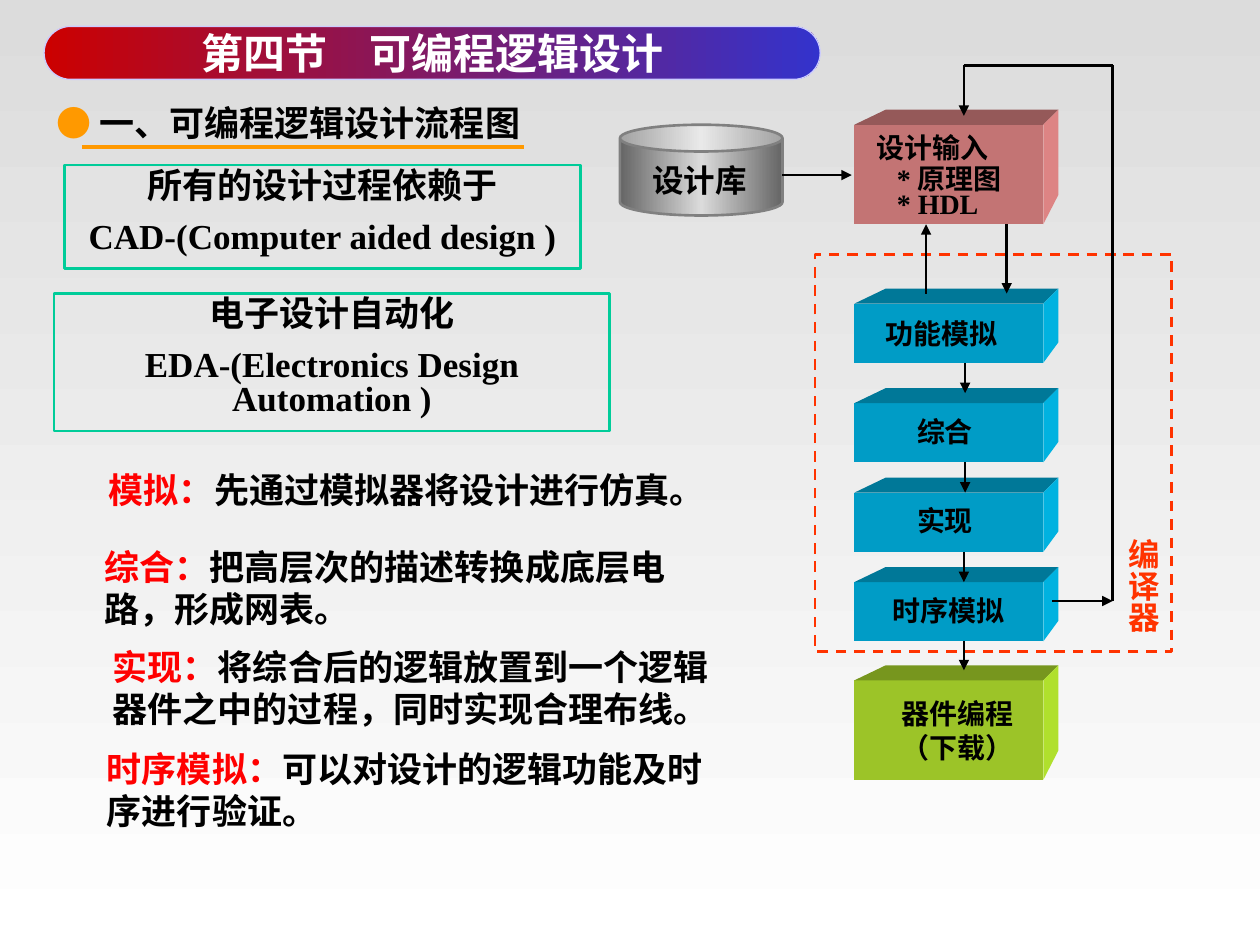
from copy import deepcopy
from dataclasses import dataclass

from pptx import Presentation
from pptx.dml.color import RGBColor
from pptx.enum.dml import MSO_LINE_DASH_STYLE as Dash
from pptx.enum.shapes import MSO_CONNECTOR as Conn, MSO_SHAPE as Shape
from pptx.enum.text import MSO_ANCHOR as Anchor, PP_ALIGN as Align
from pptx.oxml.ns import qn
from pptx.util import Emu, Inches, Pt


@dataclass(frozen=True)
class Theme:
    font: str = "Times New Roman"
    ink: str = "000000"
    white: str = "FFFFFF"
    term: str = "FF0000"
    orange: str = "FF9900"
    compiler: str = "FF3300"
    frame: str = "00CC99"
    title_line: str = "CCCCFF"
    can_line: str = "808080"
    page: tuple = ("DCDCDC", "FFFFFF")
    banner: tuple = ("CC0000", "3333CC")
    metal: tuple = ("656565", "DBDBDB", "656565")
    # Block colours: front, top, side
    pink: tuple = ("C37474", "955959", "DD8484")
    blue: tuple = ("009CC6", "007898", "00B2E0")
    green: tuple = ("9CC428", "77961E", "B0E02D")
    title: int = 24
    body: int = 20
    label: int = 18
    step: int = 16


@dataclass(frozen=True)
class Area:
    """Place and size in grid cells."""
    col: float
    row: float
    cols: float
    rows: float

    def emu(self) -> list:
        return [cell(v) for v in (self.col, self.row, self.cols, self.rows)]


@dataclass(frozen=True)
class Block:
    row: float
    rows: float
    colors: tuple


@dataclass(frozen=True)
class Label:
    text: str
    area: Area
    align: Align = Align.CENTER


@dataclass(frozen=True)
class Note:
    term: str
    text: str
    area: Area
    align: Align = Align.LEFT


T = Theme()
COLS = 100  # square grid cells across the slide
prs = Presentation()
prs.slide_width, prs.slide_height = Inches(10), Inches(7.5)
s = prs.slides.add_slide(prs.slide_layouts[6])


def cell(v: float) -> Emu:
    return Emu(round(v * prs.slide_width / COLS))


def rgb(color: str) -> RGBColor:
    return RGBColor.from_string(color)


def gradient(fill, colors: tuple, angle: int = 0) -> None:
    fill.gradient()
    fill.gradient_angle = angle
    if len(colors) == 3:
        first = fill.gradient_stops[0]._gs
        first.addnext(deepcopy(first))
    for i, (stop, color) in enumerate(zip(fill.gradient_stops, colors)):
        stop.color.rgb = rgb(color)
        stop.position = i / (len(colors) - 1)


def outline(sp, color: str, width: float = 1.5) -> None:
    sp.line.color.rgb = rgb(color)
    sp.line.width = Pt(width)


def add_shape(kind: Shape, area: Area):
    sp = s.shapes.add_shape(kind, *area.emu())
    sp.shadow.inherit = False
    sp.fill.background()
    return sp


def write(sp, paragraphs: list, size: int, align=Align.LEFT, spacing=None, **frame) -> None:
    """Each paragraph is a list of (text, colour, bold) runs."""
    tf = sp.text_frame
    for name, value in {"word_wrap": True, "vertical_anchor": Anchor.TOP, **frame}.items():
        setattr(tf, name, value)
    for i, runs in enumerate(paragraphs):
        p = tf.add_paragraph() if i else tf.paragraphs[0]
        p.alignment, p.line_spacing = align, spacing
        p.space_before = Pt(size / 2 if i else 0)
        for text, color, bold in runs:
            r = p.add_run()
            r.text = text
            r.font.color.rgb = rgb(color)
            for name, value in {"name": T.font, "size": Pt(size), "bold": bold}.items():
                setattr(r.font, name, value)


def add_text(area: Area, runs: list, size: int, align=Align.LEFT):
    sp = s.shapes.add_textbox(*area.emu())
    write(sp, [runs], size, align)
    return sp


def add_line(x1, y1, x2, y2, color=T.ink, width=1.5, arrow=True) -> None:
    line = s.shapes.add_connector(Conn.STRAIGHT, *map(cell, (x1, y1, x2, y2)))
    outline(line, color, width)
    pr = line._element.spPr
    if arrow:
        ln = line.line._get_or_add_ln()
        ln.append(ln.makeelement(qn("a:tailEnd"), {"type": "triangle"}))
    pr.append(pr.makeelement(qn("a:effectLst"), {}))


def add_face(points: list, color: str) -> None:
    corners = [tuple(map(cell, pt)) for pt in points]
    builder = s.shapes.build_freeform(*corners[0])
    builder.add_line_segments(corners[1:])
    sp = builder.convert_to_shape()
    sp.shadow.inherit = False
    sp.fill.solid()
    sp.fill.fore_color.rgb = rgb(color)
    sp.line.fill.background()


def add_block(block: Block) -> None:
    left, right, top, bottom = 67.8, 82.8, block.row, block.row + block.rows
    back_top, back_left, back_right = top - 1.2, left + 2.5, right + 1.2
    back_bottom = bottom - 0.6 - 0.22 * block.rows
    front, lid, side = block.colors
    add_face([(left, top), (right, top), (right, bottom), (left, bottom)], front)
    add_face([(left, top), (back_left, back_top), (back_right, back_top), (right, top)], lid)
    add_face([(right, top), (back_right, back_top), (back_right, back_bottom),
              (right, bottom)], side)


# Background and title
gradient(s.background.fill, T.page, 270)
banner = add_shape(Shape.ROUNDED_RECTANGLE, Area(3.5, 2.1, 61.6, 4.2))
banner.adjustments[0] = 0.5
gradient(banner.fill, T.banner)
outline(banner, T.title_line, 0.75)
write(banner, [[("第四节　可编程逻辑设计", T.white, True)]], T.title, Align.CENTER,
      word_wrap=False, vertical_anchor=Anchor.MIDDLE, margin_left=0, margin_right=0,
      margin_top=0, margin_bottom=0)

# Section heading
add_text(Area(3.5, 7.6, 52.8, 4.3),
         [("● ", T.orange, False), ("一、可编程逻辑设计流程图", T.ink, True)], T.body)
add_line(6.5, 11.7, 41.6, 11.7, T.orange, 2.25, arrow=False)

# Design library
can = add_shape(Shape.CAN, Area(49.2, 9.9, 12.9, 7.2))
can.adjustments[0] = 0.295
gradient(can.fill, T.metal)
outline(can, T.can_line)
add_text(Area(50.8, 12.3, 10.2, 4), [("设计库", T.ink, True)], T.label)

# Flow blocks and their labels
for block in [Block(9.9, 7.9, T.pink),
              *(Block(row, 4.7, T.blue) for row in (24.1, 32, 39.1, 46.2)),
              Block(54, 7.9, T.green)]:
    add_block(block)
for label in [Label("设计输入", Area(68.6, 9.9, 11.8, 3.7), Align.LEFT),
              Label("* 原理图", Area(70.2, 12.3, 12.6, 3.7), Align.LEFT),
              Label("* HDL", Area(70.2, 14.3, 8.7, 3.7), Align.LEFT),
              Label("功能模拟", Area(68.8, 24.6, 11.8, 3.7)),
              Label("综合", Area(69.1, 32.4, 11.8, 3.7)),
              Label("实现", Area(69.1, 39.5, 11.8, 3.7)),
              Label("时序模拟", Area(69.4, 46.6, 11.8, 3.7)),
              Label("器件编程", Area(70.1, 54.8, 11.8, 3.7)),
              Label("（下载）", Area(70.1, 57.5, 11.8, 3.7))]:
    add_text(label.area, [(label.text, T.ink, True)], T.step, label.align)

# Compiler frame, with its label in one vertical column
compiler = add_shape(Shape.RECTANGLE, Area(64.7, 20.2, 28.3, 31.5))
outline(compiler, T.compiler)
compiler.line.dash_style = Dash.DASH
side_label = add_text(Area(87.75, 41.8, 5, 10.4), [("编译器", T.compiler, True)], T.label)
side_label.text_frame._txBody.bodyPr.set("vert", "eaVert")

# Flow arrows, then the feedback path
for ends in [(62.1, 13.9, 67.6, 13.9), (79.9, 17.8, 79.9, 23.3), (73.5, 23.3, 73.5, 17.8),
             (76.6, 28.8, 76.6, 31.2), (76.6, 36.7, 76.6, 39.1),
             (76.5, 43.8, 76.5, 46.2), (76.5, 50.9, 76.5, 53.2),
             (76.5, 5.2, 76.5, 9.2), (83.5, 47.7, 88.3, 47.7)]:
    add_line(*ends)
for ends in [(76.5, 5.2, 88.3, 5.2), (88.3, 5.2, 88.3, 47.7)]:
    add_line(*ends, arrow=False)

# Framed definitions
for area, lines in [
        (Area(5.1, 13.1, 41, 8.2), ("所有的设计过程依赖于", "CAD-(Computer aided design )")),
        (Area(4.3, 23.3, 44.1, 10.9), ("电子设计自动化", "EDA-(Electronics Design Automation )"))]:
    frame = add_shape(Shape.RECTANGLE, area)
    outline(frame, T.frame)
    write(frame, [[(line, T.ink, True)] for line in lines], T.body, Align.CENTER, 0.8)

# Explanations of the steps
for note in [
        Note("模拟：", "先通过模拟器将设计进行仿真。", Area(6.7, 36.7, 51.2, 4.3), Align.CENTER),
        Note("综合：", "把高层次的描述转换成底层电路，形成网表。", Area(7.3, 42.8, 48, 7.7)),
        Note("实现：", "将综合后的逻辑放置到一个逻辑器件之中的过程，同时实现合理布线。",
             Area(7, 50.7, 51.2, 7.7), Align.CENTER),
        Note("时序模拟：", "可以对设计的逻辑功能及时序进行验证。", Area(7.5, 58.8, 51.2, 7.7))]:
    add_text(note.area, [(note.term, T.term, True), (note.text, T.ink, True)],
             T.body, note.align)

prs.save("out.pptx")
